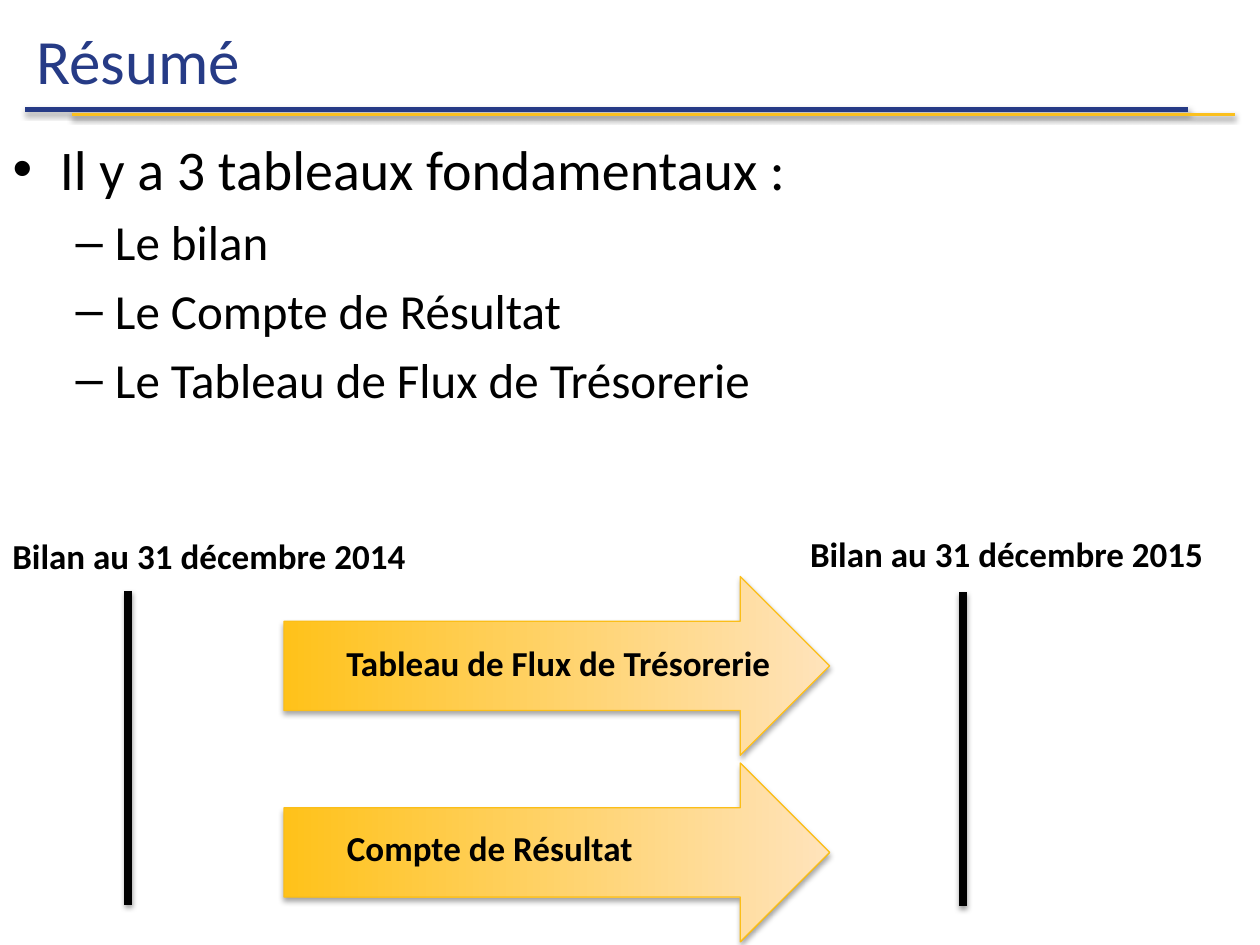
from lxml import etree
from pptx import Presentation
from pptx.dml import color
from pptx.enum import shapes, text
from pptx.oxml import ns
from pptx.util import Pt

hex_color = color.RGBColor.from_string
NAVY, GOLD, BLACK = "263B86", "FBC01E", "000000"


def write(para, words, size, ink=BLACK, bold=False, level=0, before=None):
    para.level = level
    para.alignment = text.PP_ALIGN.LEFT
    if before is not None:
        para.space_before = Pt(before)
    span = para.add_run()
    span.text = words
    span.font.name = "Calibri"
    span.font.size = Pt(size)
    span.font.bold = bold
    span.font.color.rgb = hex_color(ink)


def add_shadow(shape, opacity, distance):
    """Cast a soft shadow straight down; call after fill and line are set."""
    effects = etree.SubElement(shape._element.spPr, ns.qn("a:effectLst"))
    shadow = etree.SubElement(
        effects, ns.qn("a:outerShdw"), blurRad=str(Pt(3.1)),
        dist=str(Pt(distance)), dir="5400000", rotWithShape="0")
    shade = etree.SubElement(shadow, ns.qn("a:srgbClr"), val=BLACK)
    etree.SubElement(shade, ns.qn("a:alpha"), val=str(opacity * 1000))


deck = Presentation()
deck.slide_width, deck.slide_height = Pt(720), Pt(540)
page = deck.slides.add_slide(deck.slide_layouts[1])

# Title and list
title, body = page.placeholders
title.left, title.top, title.width, title.height = Pt(0), Pt(1.4), Pt(720), Pt(65.5)
title.text_frame.vertical_anchor = text.MSO_ANCHOR.MIDDLE
heading = title.text_frame.paragraphs[0]
heading._p.get_or_add_pPr().set("marL", str(Pt(13.5)))
write(heading, "Résumé", 36, ink=NAVY)

body.left, body.top, body.width, body.height = Pt(0), Pt(73.4), Pt(720), Pt(185)
write(body.text_frame.paragraphs[0], "Il y a 3 tableaux fondamentaux :", 32, before=0)
for statement in ("Le bilan", "Le Compte de Résultat", "Le Tableau de Flux de Trésorerie"):
    write(body.text_frame.add_paragraph(), statement, 28, level=1)

# Title rules, then the two balance sheet dates
for x1, y1, x2, y2, ink, weight in (
    (14.4, 62.6, 679, 62.6, NAVY, 3),
    (41, 65.5, 705.6, 65.5, GOLD, 2),
    (73.4, 337.7, 73.4, 517, BLACK, 4.5),
    (550.1, 338.4, 550.1, 517.7, BLACK, 4.5),
):
    line = page.shapes.add_connector(
        shapes.MSO_CONNECTOR.STRAIGHT, Pt(x1), Pt(y1), Pt(x2), Pt(y2))
    line.line.color.rgb = hex_color(ink)
    line.line.width = Pt(weight)
    add_shadow(line, 38, 1.6)

# Flow arrows, turned to point right
for top in (224.6, 331.2):
    arrow = page.shapes.add_shape(
        shapes.MSO_SHAPE.UP_ARROW, Pt(267.1), Pt(top), Pt(102.2), Pt(311.8))
    arrow.rotation = 90
    arrow.fill.gradient()
    arrow.fill.gradient_angle = 90
    for stop, ink in zip(arrow.fill.gradient_stops, ("FFC21A", "FFE3BB")):
        stop.color.rgb = hex_color(ink)
    arrow.line.color.rgb = hex_color("FBBE18")
    arrow.line.width = Pt(0.75)
    add_shadow(arrow, 35, 1.8)

# Labels
for left, top, label in (
    (0, 301.7, "Bilan au 31 décembre 2014"),
    (455.8, 301, "Bilan au 31 décembre 2015"),
    (190.8, 362.9, "Tableau de Flux de Trésorerie"),
    (191.2, 468.7, "Compte de Résultat"),
):
    box = page.shapes.add_textbox(Pt(left), Pt(top), Pt(264.2), Pt(31.7))
    box.text_frame.word_wrap = True
    write(box.text_frame.paragraphs[0], label, 20, bold=True, before=0)

deck.save("out.pptx")
